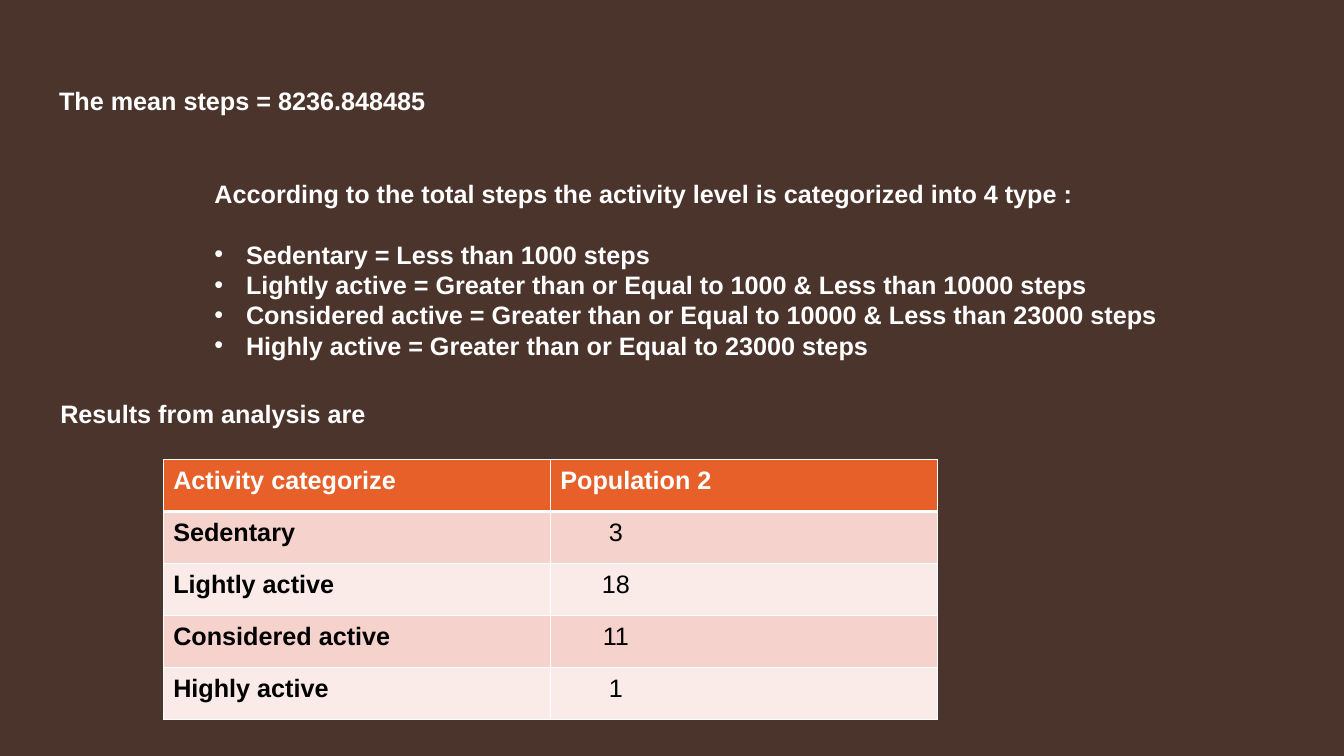
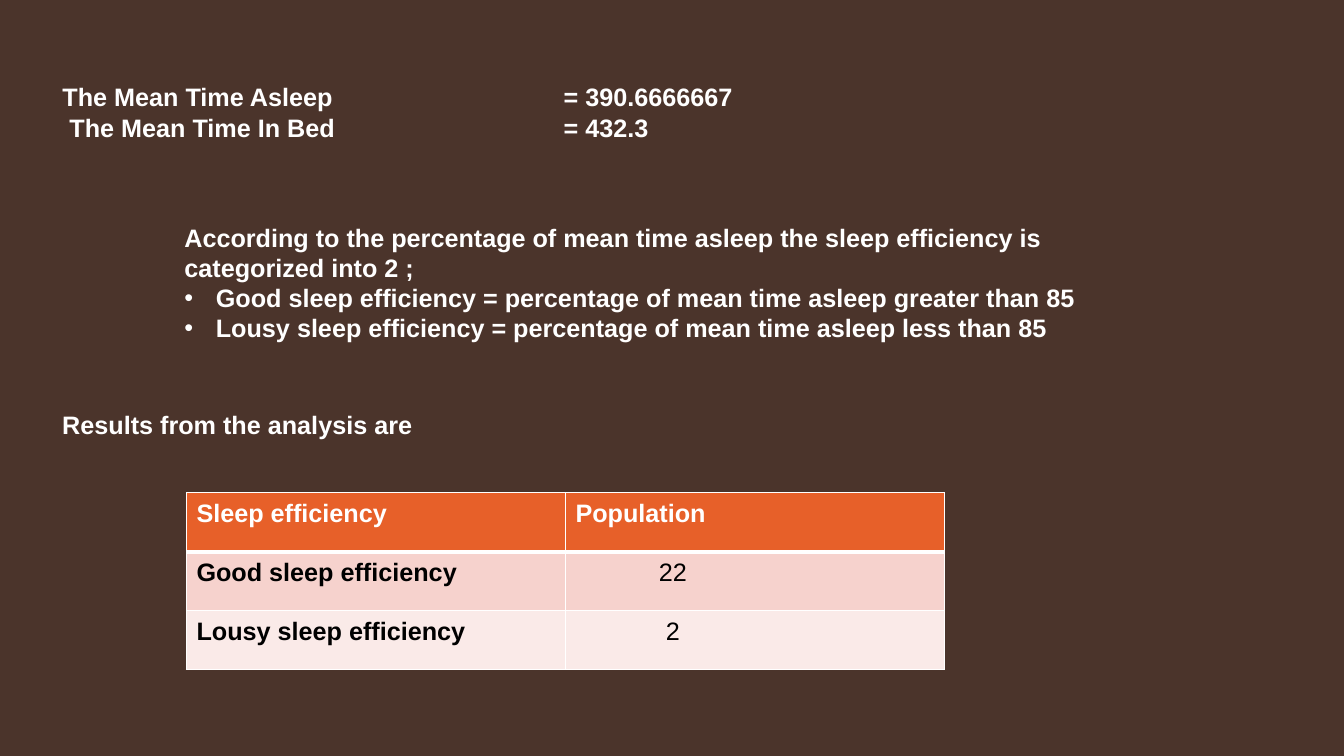
import pptx
import pptx.util
import pptx.dml.color
import pptx.enum.text
import pptx.oxml
import pptx.oxml.ns

Pt = pptx.util.Pt
Text = pptx.enum.text

COLORS = {
    "background": "4B342B",
    "light": "FFFFFF",
    "dark": "000000",
    "header": "E76029",
    "band_odd": "F6D2CD",
    "band_even": "FAEAE8",
}
FONT, SIZE, LINE_PITCH = "Arial", 18, 21.6
BULLET_INDENT = 22.5


def color(name):
    """Return the named colour of the deck."""
    return pptx.dml.color.RGBColor.from_string(COLORS[name])


def element(xml):
    """Build a DrawingML element from a short piece of XML."""
    head, tail = xml.split(" ", 1)
    return pptx.oxml.parse_xml(f"{head} {pptx.oxml.ns.nsdecls('a')} {tail}")


def style_paragraph(para, tone="light", bold=True, align=Text.PP_ALIGN.LEFT):
    """Give a paragraph and its runs the text style of the deck."""
    para.alignment = align
    para.line_spacing = Pt(LINE_PITCH)
    para.space_before = para.space_after = Pt(0)
    for span in para.runs:
        span.font.name, span.font.size, span.font.bold = FONT, Pt(SIZE), bold
        span.font.color.rgb = color(tone)


def place_text(shape, box, lines):
    """Move a text shape to its box and fill it with styled lines."""
    shape.left, shape.top, shape.width, shape.height = map(Pt, box)
    frame = shape.text_frame
    frame.text = "\n".join(lines)
    frame.word_wrap = True
    frame.auto_size = Text.MSO_AUTO_SIZE.NONE
    frame.vertical_anchor = Text.MSO_ANCHOR.TOP
    for para in frame.paragraphs:
        style_paragraph(para)
    return frame.paragraphs


def place_means(page, box, lines, value_tab):
    """Fill the title with the means, their values lined up at a tab."""
    for para in place_text(page.shapes.title, box, lines):
        if "\t" in para.text:
            tab = f'<a:tabLst ><a:tab pos="{Pt(value_tab)}" algn="l"/></a:tabLst>'
            para._p.get_or_add_pPr().append(element(tab))


def place_categories(page, box, intro, items, gap):
    """Fill the body with an introduction and a bulleted list below a gap."""
    first, *bullets = place_text(page.placeholders[1], box, [intro, *items])
    for para in (first, *bullets):
        indent = 0 if para is first else BULLET_INDENT
        properties = para._p.get_or_add_pPr()
        properties.set("marL", str(Pt(indent)))
        properties.set("indent", str(-Pt(indent)))
        if para is first:
            properties.append(element("<a:buNone />"))
        else:
            properties.append(element(f'<a:buFont typeface="{FONT}"/>'))
            properties.append(element('<a:buChar char="•"/>'))
    bullets[0].space_before = Pt(gap)


def border_cell(cell, widths):
    """Draw the left, right, top and bottom borders of a cell."""
    properties = cell._tc.get_or_add_tcPr()
    for place, (side, width) in enumerate(zip("LRTB", widths)):
        properties.insert(place, element(
            f'<a:ln{side} w="{Pt(width)}"><a:solidFill><a:srgbClr '
            f'val="{COLORS["light"]}"/></a:solidFill></a:ln{side}>'))


def place_results(page, box, rows, number_center):
    """Add the results table, numbers centred at an offset in their column."""
    table = page.shapes.add_table(len(rows), 2, *map(Pt, box)).table
    column_width = box[2] / 2
    for r, row in enumerate(rows):
        fill = "header" if r == 0 else "band_odd" if r % 2 else "band_even"
        for c, value in enumerate(row):
            cell = table.cell(r, c)
            cell.text = value
            cell.fill.solid()
            cell.fill.fore_color.rgb = color(fill)
            border_cell(cell, (1, 1, 3 if r == 1 else 1, 3 if r == 0 else 1))
            is_number = r > 0 and c == 1
            if is_number:
                cell.margin_left = Pt(0)
                cell.margin_right = Pt(column_width - 2 * number_center)
            style_paragraph(
                cell.text_frame.paragraphs[0],
                tone="dark" if r else "light",
                bold=not is_number,
                align=Text.PP_ALIGN.CENTER if is_number else Text.PP_ALIGN.LEFT)


def add_analysis(deck, means, categories, results_label, results):
    """Add a slide with means, categories and a table of results."""
    page = deck.slides.add_slide(deck.slide_layouts[1])
    place_means(page, **means)
    place_categories(page, **categories)
    box, label = results_label
    place_text(page.shapes.add_textbox(*map(Pt, box)), box, [label])
    place_results(page, **results)


def main():
    """Build the deck."""
    deck = pptx.Presentation()
    deck.slide_width, deck.slide_height = Pt(960), Pt(540)
    background = deck.slide_master.background.fill
    background.solid()
    background.fore_color.rgb = color("background")

    add_analysis(
        deck,
        means={"box": (35, 57, 401, 29), "value_tab": 358,
               "lines": ["The mean steps = 8236.848485"]},
        categories={
            "box": (146, 124, 778, 247), "gap": LINE_PITCH,
            "intro": "According to the total steps the activity level is "
                     "categorized into 4 type :",
            "items": [
                "Sedentary = Less than 1000 steps",
                "Lightly active = Greater than or Equal to 1000 & Less than 10000 steps",
                "Considered active = Greater than or Equal to 10000 & Less than 23000 steps",
                "Highly active = Greater than or Equal to 23000 steps"]},
        results_label=((36, 281, 302, 29), "Results from analysis are"),
        results={
            "box": (116.6, 328.3, 553, 185.8), "number_center": 46.8,
            "rows": [("Activity categorize", "Population 2"),
                     ("Sedentary", "3"), ("Lightly active", "18"),
                     ("Considered active", "11"), ("Highly active", "1")]})

    add_analysis(
        deck,
        means={"box": (37.4, 54.7, 760, 73), "value_tab": 358,
               "lines": ["The Mean Time Asleep\t= 390.6666667",
                         " The Mean Time In Bed\t= 432.3"]},
        categories={
            "box": (124.5, 155, 673, 117), "gap": 0,
            "intro": "According to the percentage of mean time asleep the sleep "
                     "efficiency is categorized into 2 ;",
            "items": [
                "Good sleep efficiency = percentage of mean time asleep greater than 85",
                "Lousy sleep efficiency = percentage of mean time asleep less than 85"]},
        results_label=((37.4, 288.7, 316, 29), "Results from the analysis are"),
        results={
            "box": (133.2, 352, 541.4, 126.2), "number_center": 76.8,
            "rows": [("Sleep efficiency", "Population"),
                     ("Good sleep efficiency", "22"),
                     ("Lousy sleep efficiency", "2")]})

    deck.save("out.pptx")


main()
